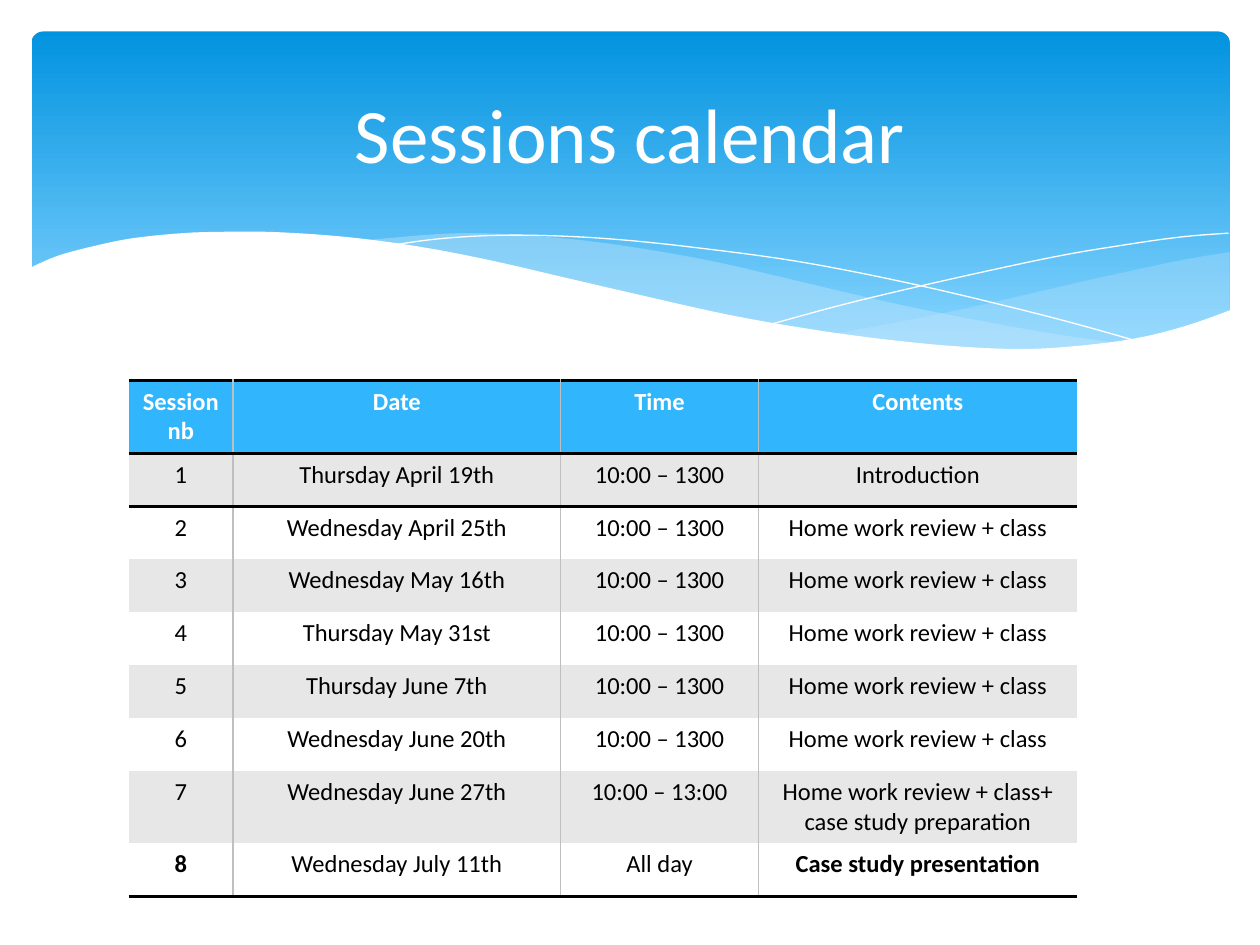
import pptx
import pptx.dml.color
import pptx.enum.shapes
import pptx.enum.text
import pptx.oxml
import pptx.oxml.ns
import pptx.util

FONT = "Calibri"
WHITE, BLACK, GRID = "FFFFFF", "000000", "BFBFBF"
HEADER, BAND, MIST = "31B6FD", "E7E7E7", "C6E7FC"
NO_STYLE = "{2D5ABB26-0587-4C30-8999-92F81FD0307C}"
NS = pptx.oxml.ns.nsdecls("a")
STEPS = 5

SESSION = "10:00 – 1300"
REVIEW = "Home work review + class"
ROWS = [
    ("Session\nnb", "Date", "Time", "Contents"),
    ("1", "Thursday April 19th", SESSION, "Introduction"),
    ("2", "Wednesday April 25th", SESSION, REVIEW),
    ("3", "Wednesday May 16th", SESSION, REVIEW),
    ("4", "Thursday May 31st", SESSION, REVIEW),
    ("5", "Thursday June 7th", SESSION, REVIEW),
    ("6", "Wednesday June 20th", SESSION, REVIEW),
    ("7", "Wednesday June 27th", "10:00 – 13:00", REVIEW + "+ case study preparation"),
    ("8", "Wednesday July 11th", "All day", "Case study presentation"),
]
COL_WIDTHS = [0.83, 2.6, 1.57, 2.53]
ROW_HEIGHTS = [0.58] + [0.42] * 6 + [0.57, 0.42]
BOLD_CELLS = {(8, 0), (8, 3)}

RIGHT_MIST = [
    [(9.76, 2), (9.35, 2.07), (8.61, 2.23), (7.79, 2.42), (7.06, 2.57), (6.61, 2.65)],
    [(6.61, 2.65), (7.19, 2.72), (7.69, 2.77), (8.14, 2.78), (8.54, 2.76),
     (8.97, 2.7), (9.35, 2.62), (9.76, 2.47)],
]
LEFT_MIST = [
    [(8.93, 2.73), (8.37, 2.65), (7.75, 2.54), (7.06, 2.4), (6.29, 2.22), (5.69, 2.08),
     (5.14, 1.98), (4.65, 1.91), (4.2, 1.87), (3.8, 1.85), (3.44, 1.86), (2.86, 1.91)],
    [(2.86, 1.91), (3.42, 1.99), (4.04, 2.11), (4.91, 2.32), (5.66, 2.48), (6.34, 2.61),
     (6.95, 2.7), (7.48, 2.76), (7.96, 2.78), (8.38, 2.78), (8.93, 2.73)],
]
FALLING_LINE = [
    [(3.09, 1.95), (3.44, 1.9), (3.87, 1.87), (4.33, 1.87), (4.89, 1.9), (5.56, 1.97),
     (6.36, 2.08), (7.27, 2.26), (8.31, 2.51), (9.07, 2.72)],
]
RISING_LINE = [
    [(6.13, 2.57), (6.72, 2.41), (7.48, 2.23), (8.36, 2.04), (8.95, 1.94),
     (9.38, 1.88), (9.75, 1.85)],
]
WHITE_EDGE = [
    [(9.77, 2.46), (9.4, 2.59), (8.99, 2.69), (8.5, 2.75), (8.09, 2.77), (7.61, 2.75),
     (7.08, 2.7), (6.48, 2.62), (5.79, 2.5), (5.03, 2.33), (4.47, 2.2), (3.91, 2.07),
     (3.4, 1.97), (2.92, 1.9), (2.5, 1.86), (2.11, 1.84), (1.77, 1.84), (1.46, 1.85),
     (1.06, 1.89), (0.76, 1.95), (0.46, 2.03), (0.23, 2.13)],
    [(0.23, 3.29), (9.77, 3.29)],
]


def rgb(color):
    return pptx.dml.color.RGBColor.from_string(color)


def inches(*lengths):
    return [pptx.util.Inches(length) for length in lengths]


def add_text(p, text, size, color, bold=False):
    p.alignment = pptx.enum.text.PP_ALIGN.CENTER
    r = p.add_run()
    r.text = text
    r.font.name = FONT
    r.font.size = pptx.util.Pt(size)
    r.font.bold = bold
    r.font.color.rgb = rgb(color)


def smooth(knots):
    padded = [knots[0]] + knots + [knots[-1]]
    points = [knots[0]]
    for quad in zip(padded, padded[1:], padded[2:], padded[3:]):
        for step in range(1, STEPS + 1):
            t = step / STEPS
            points.append(tuple(
                b + t / 2 * (c - a + t * (2 * a - 5 * b + 4 * c - d + t * (3 * (b - c) + d - a)))
                for a, b, c, d in zip(*quad)))
    return points


def add_wave(s, box, curves, fill=None, alpha=100):
    points = [inches(box[0] + x, box[1] + y) for knots in curves for x, y in smooth(knots)]
    builder = s.shapes.build_freeform(*points[0])
    builder.add_line_segments(points[1:], close=fill is not None)
    sp = builder.convert_to_shape()
    sp.shadow.inherit = False
    if fill is None:
        sp.fill.background()
        sp.line.color.rgb = rgb(WHITE)
        sp.line.width = 0
        return
    sp.line.fill.background()
    sp.fill.solid()
    sp.fill.fore_color.rgb = rgb(fill)
    color = sp.element.spPr.find(".//" + pptx.oxml.ns.qn("a:srgbClr"))
    color.append(pptx.oxml.parse_xml(f'<a:alpha {NS} val="{alpha * 1000}"/>'))


def add_banner(s, box):
    left, top, width, height = box
    sp = s.shapes.add_shape(
        pptx.enum.shapes.MSO_SHAPE.ROUNDED_RECTANGLE,
        *inches(left + 0.25, top + 0.25, width - 0.49, height - 0.55))
    sp.adjustments[0] = 0.034
    sp.shadow.inherit = False
    sp.line.fill.background()
    sp.fill.gradient()
    sp.fill.gradient_angle = 270
    for stop, color, position in zip(sp.fill.gradient_stops, ("0293E0", "83D3FE"), (0, 0.9)):
        stop.color.rgb = rgb(color)
        stop.position = position
    add_wave(s, box, RIGHT_MIST, MIST, 29)
    add_wave(s, box, LEFT_MIST, MIST, 40)
    add_wave(s, box, FALLING_LINE)
    add_wave(s, box, RISING_LINE)
    add_wave(s, box, WHITE_EDGE, WHITE)


def add_title(s, box, text):
    title = s.shapes.title
    title.left, title.top, title.width, title.height = inches(*box)
    title.element.getparent().append(title.element)
    tf = title.text_frame
    tf.vertical_anchor = pptx.enum.text.MSO_ANCHOR.MIDDLE
    add_text(tf.paragraphs[0], text, 44, WHITE)


def set_borders(cell, borders):
    tcPr = cell._tc.get_or_add_tcPr()
    for index, (side, color, width) in enumerate(borders):
        tcPr.insert(index, pptx.oxml.parse_xml(
            f'<a:ln{side} {NS} w="{pptx.util.Pt(width)}"><a:solidFill>'
            f'<a:srgbClr val="{color}"/></a:solidFill></a:ln{side}>'))


def add_calendar(s, box):
    last_row, last_col = len(ROWS) - 1, len(COL_WIDTHS) - 1
    table = s.shapes.add_table(len(ROWS), len(COL_WIDTHS), *inches(*box)).table
    table.first_row = table.horz_banding = False
    table._tbl.tblPr.find(pptx.oxml.ns.qn("a:tableStyleId")).text = NO_STYLE
    for column, width in zip(table.columns, COL_WIDTHS):
        column.width = pptx.util.Inches(width)
    for row, height in zip(table.rows, ROW_HEIGHTS):
        row.height = pptx.util.Inches(height)
    for i, row in enumerate(ROWS):
        for j, text in enumerate(row):
            cell = table.cell(i, j)
            cell.fill.solid()
            cell.fill.fore_color.rgb = rgb(HEADER if i == 0 else BAND if i % 2 else WHITE)
            sides = [
                ("L", GRID, 1, j > 0),
                ("R", GRID, 1, j < last_col),
                ("T", BLACK, 2, i in (0, 1)),
                ("B", BLACK, 2, i in (0, last_row)),
            ]
            set_borders(cell, [side[:3] for side in sides if side[3]])
            tf = cell.text_frame
            for k, line in enumerate(text.split("\n")):
                p = tf.add_paragraph() if k else tf.paragraphs[0]
                add_text(p, line, 14, BLACK if i else WHITE, i == 0 or (i, j) in BOLD_CELLS)


def main():
    prs = pptx.Presentation()
    prs.slide_width, prs.slide_height = inches(10, 7.5)
    s = prs.slides.add_slide(prs.slide_layouts.get_by_name("Title Only"))
    add_banner(s, (0, 0, 10, 3.25))
    add_title(s, (0.5, 0.37, 9, 1.37), "Sessions calendar")
    add_calendar(s, (1.02, 3.02, sum(COL_WIDTHS), sum(ROW_HEIGHTS)))
    prs.save("out.pptx")


if __name__ == "__main__":
    main()
